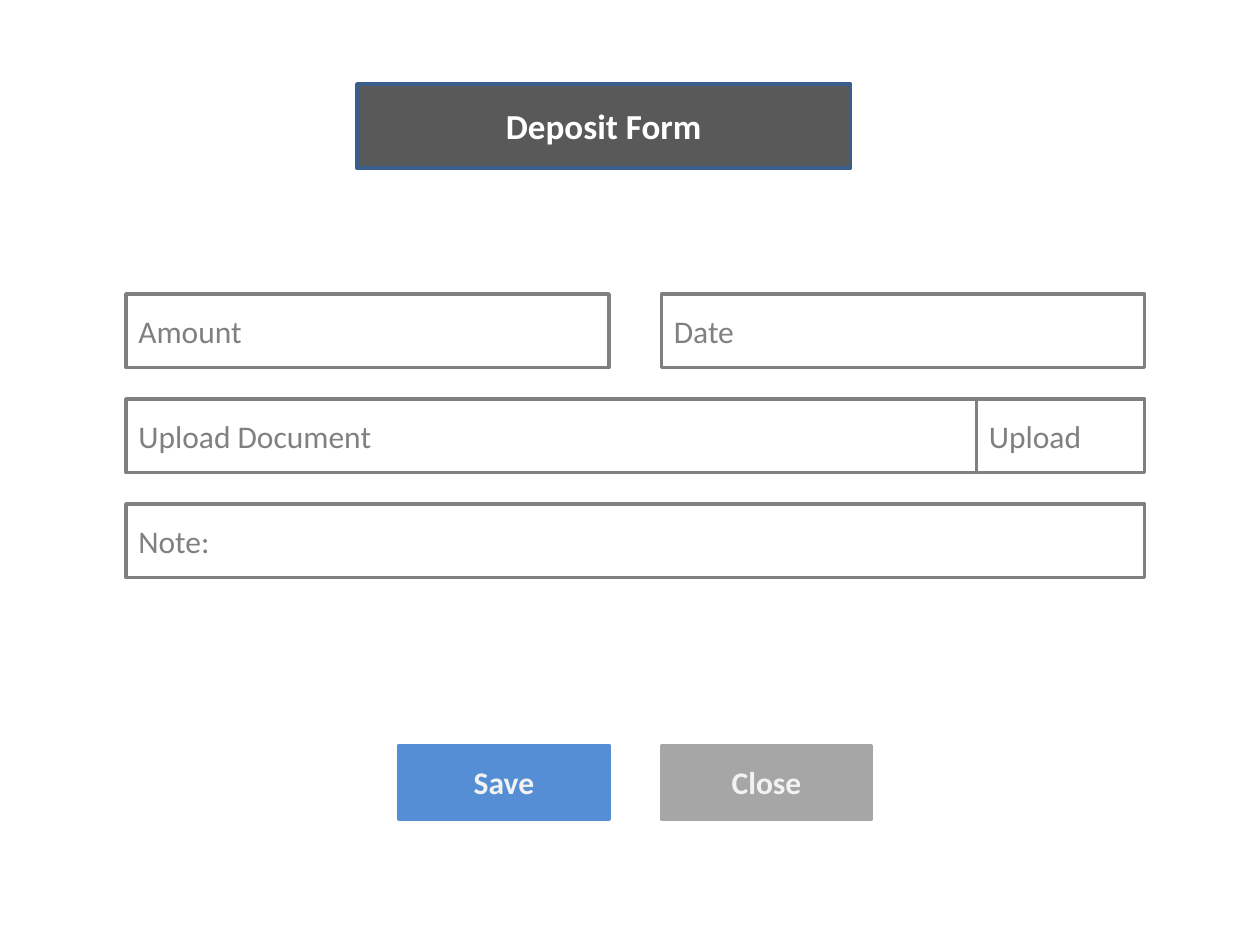
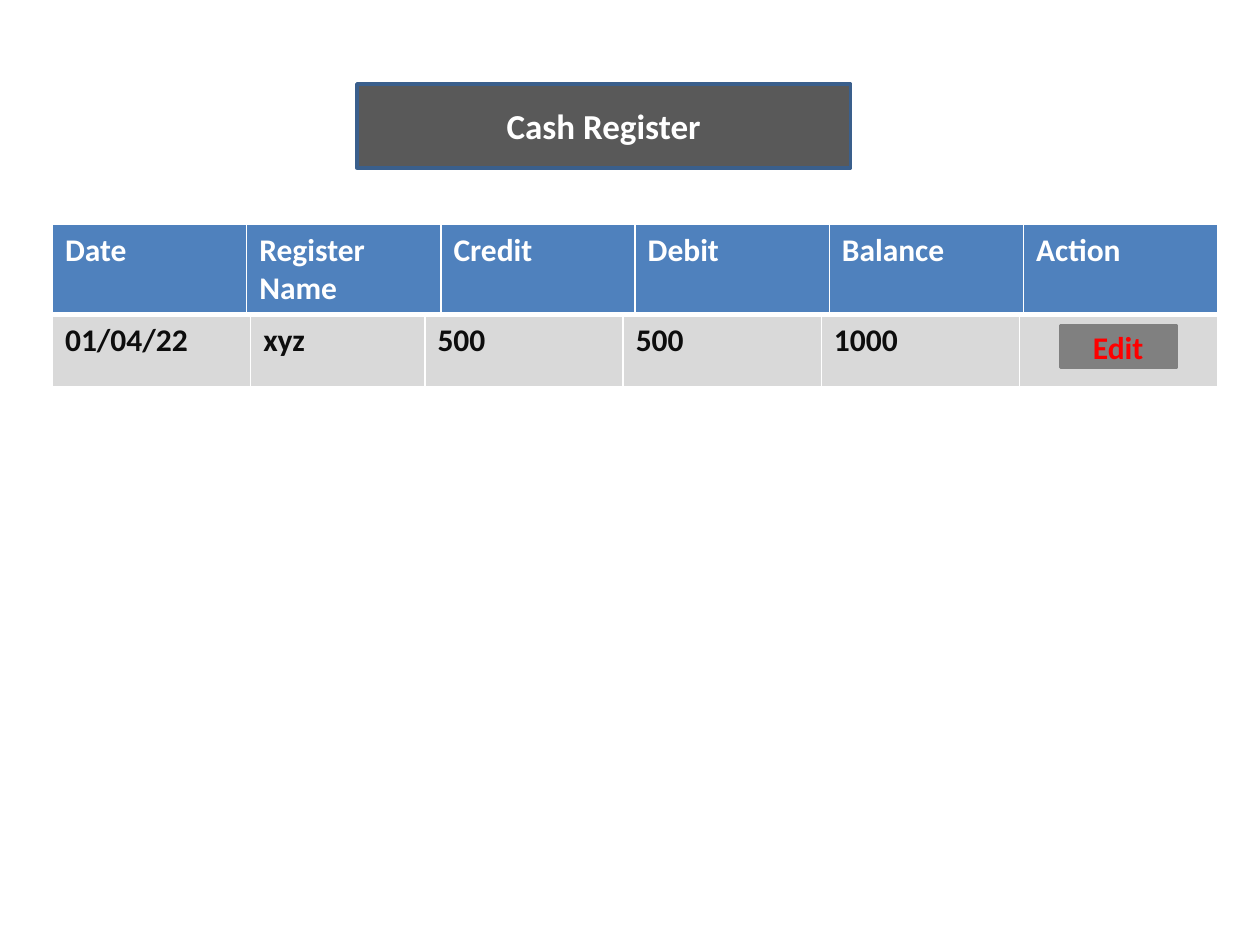
from lxml.etree import SubElement
from pptx import Presentation
from pptx.dml.color import RGBColor
from pptx.enum.shapes import MSO_SHAPE
from pptx.enum.text import MSO_ANCHOR, MSO_AUTO_SIZE, PP_ALIGN
from pptx.oxml.ns import qn
from pptx.util import Inches, Pt

WHITE = RGBColor(0xFF, 0xFF, 0xFF)
OFF_WHITE = RGBColor(0xF2, 0xF2, 0xF2)
LIGHT_GRAY = RGBColor(0xD9, 0xD9, 0xD9)
SILVER = RGBColor(0xA6, 0xA6, 0xA6)
GRAY = RGBColor(0x80, 0x80, 0x80)
CHARCOAL = RGBColor(0x59, 0x59, 0x59)
NEAR_BLACK = RGBColor(0x0D, 0x0D, 0x0D)
RED = RGBColor(0xFF, 0x00, 0x00)
SAVE_BLUE = RGBColor(0x55, 0x8E, 0xD5)
HEADER_BLUE = RGBColor(0x4F, 0x81, 0xBD)
TITLE_EDGE = RGBColor(0x3A, 0x5F, 0x8C)

FONT = "Calibri"
TITLE_ONLY = 5
GRID_COLUMNS, GRID_ROWS = 120, 90


def write(frame, text, color=NEAR_BLACK, size=18, bold=False, align=PP_ALIGN.LEFT):
    paragraph = frame.paragraphs[0]
    paragraph.alignment = align
    paragraph.font.size = Pt(size)
    if text:
        run = paragraph.add_run()
        run.text = text
        run.font.name = FONT
        run.font.size = Pt(size)
        run.font.bold = bold
        run.font.color.rgb = color


def set_borders(cell, color=WHITE):
    """Give a cell thin sides and top, and a thicker bottom edge."""
    properties = cell._tc.get_or_add_tcPr()
    for edge, width in (("L", 1), ("R", 1), ("T", 1), ("B", 3)):
        line = SubElement(properties, qn(f"a:ln{edge}"), w=str(Pt(width)))
        fill = SubElement(line, qn("a:solidFill"))
        SubElement(fill, qn("a:srgbClr"), val=str(color))


class FormSlides:
    """Draws form elements; every length is in grid columns and rows."""

    def __init__(self, presentation):
        self.presentation = presentation
        self.column = presentation.slide_width / GRID_COLUMNS
        self.row = presentation.slide_height / GRID_ROWS
        self.slide = None

    def box(self, left, top, width, height):
        return (round(left * self.column), round(top * self.row),
                round(width * self.column), round(height * self.row))

    def paint(self, shape, fill, edge):
        shape.fill.solid()
        shape.fill.fore_color.rgb = fill
        shape.line.color.rgb = edge
        shape.line.width = Pt(2)
        shape.shadow.inherit = False
        shape.text_frame.word_wrap = True
        shape.text_frame.vertical_anchor = MSO_ANCHOR.MIDDLE

    def start(self, title):
        layout = self.presentation.slide_layouts[TITLE_ONLY]
        self.slide = self.presentation.slides.add_slide(layout)
        banner = self.slide.shapes.title
        banner.left, banner.top, banner.width, banner.height = self.box(34, 8, 47, 8)
        self.paint(banner, CHARCOAL, TITLE_EDGE)
        banner.text_frame.auto_size = MSO_AUTO_SIZE.NONE
        write(banner.text_frame, title, color=WHITE, size=20, bold=True,
              align=PP_ALIGN.CENTER)

    def rectangle(self, box, fill, edge, text, **text_format):
        shape = self.slide.shapes.add_shape(MSO_SHAPE.RECTANGLE, *self.box(*box))
        self.paint(shape, fill, edge)
        write(shape.text_frame, text, **text_format)

    def field(self, label, left, top, width):
        self.rectangle((left, top, width, 7), WHITE, GRAY, label, color=GRAY)

    def button(self, label, left, top, width, height, fill, color=OFF_WHITE):
        self.rectangle((left, top, width, height), fill, fill, label,
                       color=color, bold=True, align=PP_ALIGN.CENTER)

    def table_row(self, texts, top, height, shares, fill, color):
        """Add a one-row table whose columns split the width by shares."""
        left, top, width, height = self.box(5, top, 111, height)
        table = self.slide.shapes.add_table(1, len(texts), left, top, width, height).table
        table.first_row = table.horz_banding = False
        for index, (text, share) in enumerate(zip(texts, shares)):
            table.columns[index].width = round(width * share / sum(shares))
            cell = table.cell(0, index)
            set_borders(cell)
            cell.fill.solid()
            cell.fill.fore_color.rgb = fill
            write(cell.text_frame, text, color=color, bold=True)


def build_deposit_form(form):
    form.start("Deposit Form")
    left, middle, right = 12, 63, 109
    upload_left = 93
    first, second, third = (28 + 10 * step for step in range(3))
    form.field("Amount", left, first, 46)
    form.field("Date", middle, first, right - middle)
    form.field("Upload Document", left, second, upload_left - left)
    form.field("Note:", left, third, right - left)
    form.button("Save", 38, 71, 20, 7, SAVE_BLUE)
    form.button("Close", middle, 71, 20, 7, SILVER)
    form.field("Upload", upload_left, second, right - upload_left)


def build_cash_register(form):
    form.start("Cash Register")
    form.table_row(["01/04/22", "xyz", "500", "500", "1000", ""], 30, 7,
                   [1.57, 1.38] + [1.57] * 4, LIGHT_GRAY, NEAR_BLACK)
    form.button("Edit", 101, 31, 11, 4, GRAY, color=RED)
    form.table_row(["Date", "Register Name", "Credit", "Debit", "Balance", "Action"],
                   21.4, 8.4, [1] * 6, HEADER_BLUE, WHITE)


def main():
    presentation = Presentation()
    presentation.slide_width, presentation.slide_height = Inches(10), Inches(7.5)
    form = FormSlides(presentation)
    build_deposit_form(form)
    build_cash_register(form)
    presentation.save("out.pptx")


if __name__ == "__main__":
    main()
